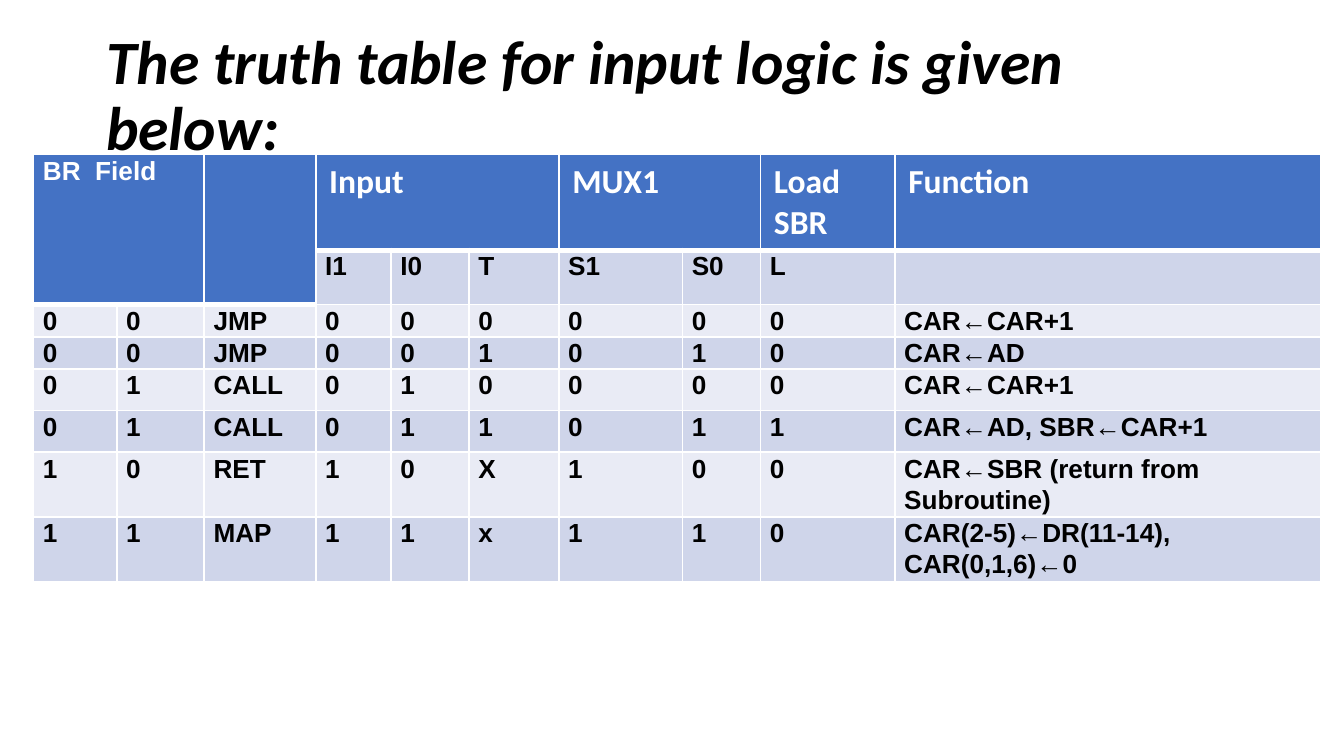
import pptx
import pptx.dml.color
import pptx.enum.text
import pptx.util
from pptx.oxml import parse_xml
from pptx.oxml.ns import nsdecls

Pt = pptx.util.Pt

COLORS = {"header": "4472C4", "dark": "CFD5EA", "light": "E9EBF5",
          "white": "FFFFFF", "black": "000000"}

COLUMN_WIDTHS = [44.6, 46.8, 59.8, 40.3, 41.8, 48.2, 66.2, 41.8, 72, 228.2]
ROW_HEIGHTS = [37.4, 23, 17.3, 17.3, 22.3, 22.3, 34.6, 34.6]

# First cell, last cell (row, column) of each merged header
MERGES = [((0, 0), (1, 1)), ((0, 2), (1, 2)), ((0, 3), (0, 5)), ((0, 6), (0, 7))]

ROWS = [
    ["BR  Field", "", "", "Input", "", "", "MUX1", "", "Load SBR", "Function"],
    ["", "", "", "I1", "I0", "T", "S1", "S0", "L", ""],
    ["0", "0", "JMP", "0", "0", "0", "0", "0", "0", "CAR←CAR+1"],
    ["0", "0", "JMP", "0", "0", "1", "0", "1", "0", "CAR←AD"],
    ["0", "1", "CALL", "0", "1", "0", "0", "0", "0", "CAR←CAR+1"],
    ["0", "1", "CALL", "0", "1", "1", "0", "1", "1", "CAR←AD, SBR←CAR+1"],
    ["1", "0", "RET", "1", "0", "X", "1", "0", "0",
     "CAR←SBR (return from Subroutine)"],
    ["1", "1", "MAP", "1", "1", "x", "1", "1", "0",
     "CAR(2-5)←DR(11-14), CAR(0,1,6)←0"],
]


class SlideBuilder:
    HEADING = {"name": "Calibri", "size": Pt(18), "bold": True}
    BODY = {"name": "Arial", "size": Pt(14), "bold": True}
    TITLE = {"name": "Calibri", "size": Pt(33), "bold": True, "italic": True}
    TIGHT = {"margin_left": Pt(5), "margin_right": Pt(5),
             "margin_top": 0, "margin_bottom": 0}

    def __init__(self, s):
        self.s = s

    def color(self, name):
        return pptx.dml.color.RGBColor.from_string(COLORS[name])

    def apply(self, target, values):
        for name, value in values.items():
            setattr(target, name, value)

    def add_text(self, p, text, font, color):
        r = p.add_run()
        r.text = text
        self.apply(r.font, font)
        r.font.color.rgb = self.color(color)

    def title(self, text, left, top, width, height):
        sp = self.s.shapes.title
        self.apply(sp, {"left": Pt(left), "top": Pt(top),
                        "width": Pt(width), "height": Pt(height)})
        tf = sp.text_frame
        self.apply(tf, {"word_wrap": True,
                        "auto_size": pptx.enum.text.MSO_AUTO_SIZE.NONE,
                        "vertical_anchor": pptx.enum.text.MSO_ANCHOR.MIDDLE})
        p = tf.paragraphs[0]
        self.apply(p, {"alignment": pptx.enum.text.PP_ALIGN.LEFT,
                       "line_spacing": 0.9})
        self.add_text(p, text, self.TITLE, "black")

    def borders(self, cell, top, bottom):
        tc_pr = cell._tc.get_or_add_tcPr()
        for side, width in {"L": 1, "R": 1, "T": top, "B": bottom}.items():
            tc_pr.append(parse_xml(
                f'<a:ln{side} {nsdecls("a")} w="{Pt(width)}"><a:solidFill>'
                f'<a:srgbClr val="{COLORS["white"]}"/></a:solidFill></a:ln{side}>'))

    def cell(self, cell, text, row, column):
        # Header is one row deep, but two rows deep in the first three columns
        last_header = 1 if column < 3 else 0
        header = row <= last_header
        self.borders(cell, top=3 if row == last_header + 1 else 1,
                     bottom=3 if row == last_header else 1)
        fill = "header" if header else "dark" if row % 2 else "light"
        cell.fill.solid()
        cell.fill.fore_color.rgb = self.color(fill)
        if not text:
            return
        p = cell.text_frame.paragraphs[0]
        heading = header and column >= 3
        if not heading:
            self.apply(cell, self.TIGHT)
            p.line_spacing = 1.07
        self.add_text(p, text, self.HEADING if heading else self.BODY,
                      "white" if header else "black")

    def table(self, rows, left, top, widths, heights, merges):
        table = self.s.shapes.add_table(
            len(rows), len(widths), Pt(left), Pt(top),
            Pt(sum(widths)), Pt(sum(heights))).table
        for column, width in zip(table.columns, widths):
            column.width = Pt(width)
        for row, height in zip(table.rows, heights):
            row.height = Pt(height)
        for first, last in merges:
            table.cell(*first).merge(table.cell(*last))
        for i, texts in enumerate(rows):
            for j, text in enumerate(texts):
                self.cell(table.cell(i, j), text, i, j)


def main():
    prs = pptx.Presentation()
    prs.slide_width, prs.slide_height = Pt(720), Pt(405)
    builder = SlideBuilder(prs.slides.add_slide(prs.slide_layouts[5]))

    # Title
    builder.title("The truth table for input logic is given below:",
                  49.7, 21.6, 620.6, 61.2)

    # Truth table
    builder.table(ROWS, 18, 82.8, COLUMN_WIDTHS, ROW_HEIGHTS, MERGES)

    prs.save("out.pptx")


if __name__ == "__main__":
    main()
